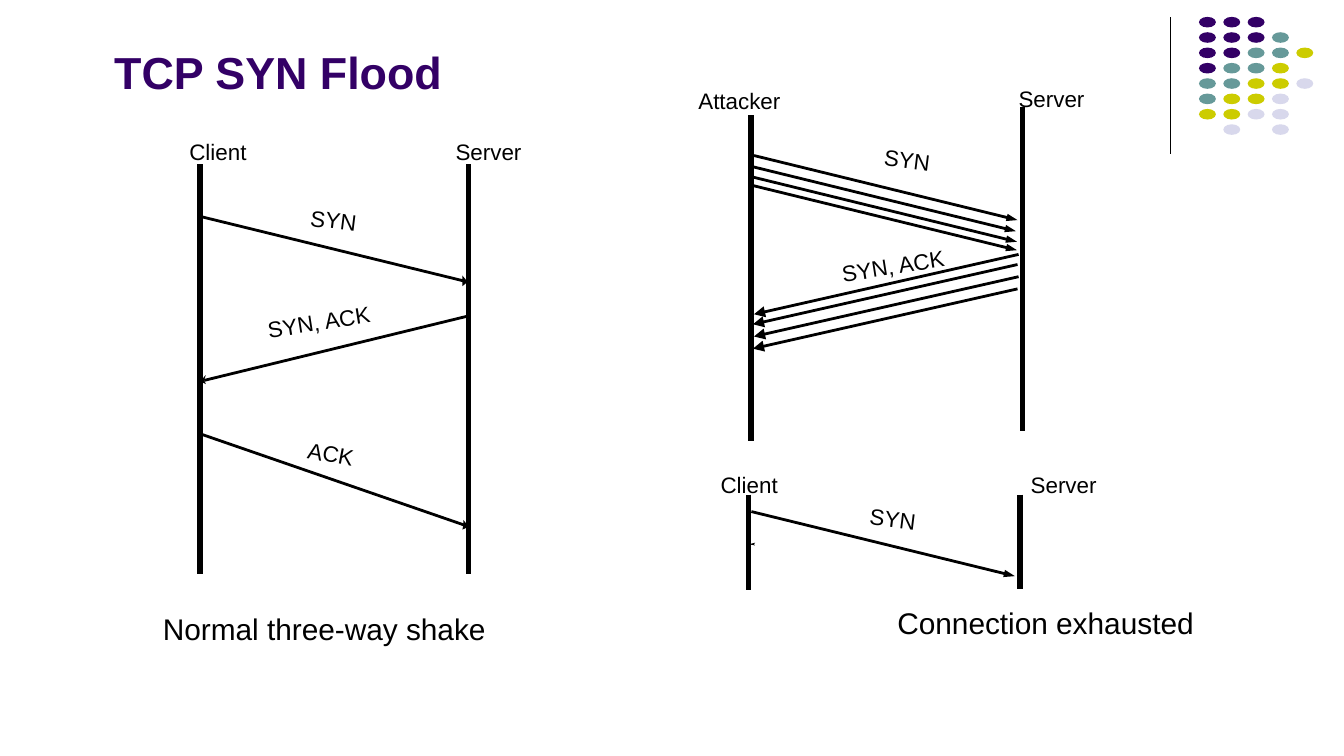
"""Build the TCP SYN flood slide with its three sequence diagrams."""
from lxml import etree
from pptx import Presentation
from pptx.dml.color import RGBColor
from pptx.enum.shapes import MSO_CONNECTOR, MSO_SHAPE
from pptx.enum.text import MSO_ANCHOR, MSO_AUTO_SIZE
from pptx.oxml.ns import qn
from pptx.util import Cm, Pt

STRAIGHT = MSO_CONNECTOR.STRAIGHT
OVAL = MSO_SHAPE.OVAL
TOP, MIDDLE = MSO_ANCHOR.TOP, MSO_ANCHOR.MIDDLE
GROW, FIXED = MSO_AUTO_SIZE.SHAPE_TO_FIT_TEXT, MSO_AUTO_SIZE.NONE
rgb = RGBColor.from_string
BLACK, PURPLE = "000000", "330066"
DOT_COLORS = {"P": PURPLE, "T": "669999", "Y": "CCCC00", "L": "D8D8EC"}
TITLE = {"size": Pt(24), "bold": True, "name": "Arial"}
LABEL = {"size": Pt(12), "name": "Arial"}
CAPTION = {"size": Pt(16), "name": "Arial"}

prs = Presentation()
prs.slide_width, prs.slide_height = Cm(25.4), Cm(14.29)
s = prs.slides.add_slide(prs.slide_layouts[6])


def add_line(x1, y1, x2, y2, width, head=None):
    cx = s.shapes.add_connector(STRAIGHT, Cm(x1), Cm(y1), Cm(x2), Cm(y2))
    cx.line.width = Pt(width)
    cx.line.color.rgb = rgb(BLACK)
    if head:
        ln = cx.line._get_or_add_ln()
        etree.SubElement(ln, qn("a:tailEnd"), type="triangle", w=head, len="med")
    etree.SubElement(cx._element.spPr, qn("a:effectLst"))


def add_text(text, x, y, w, h, fmt, color=BLACK, inset=(0, 0), rot=0,
             anchor=TOP, wrap=False, size=GROW):
    sp = s.shapes.add_textbox(Cm(x), Cm(y), Cm(w), Cm(h))
    sp.rotation = rot
    tf = sp.text_frame
    dx, dy = Cm(inset[0]), Cm(inset[1])
    frame = {"margin_left": dx, "margin_right": dx, "margin_top": dy,
             "margin_bottom": dy, "word_wrap": wrap, "auto_size": size,
             "vertical_anchor": anchor}
    for key, value in frame.items():
        setattr(tf, key, value)
    p = tf.paragraphs[0]
    r = p.add_run()
    r.text = text
    for key, value in fmt.items():
        setattr(r.font, key, value)
    r.font.color.rgb = rgb(color)
    return p


add_line(22.12, 0.33, 22.12, 2.92, 0.75)

solids = []
dot_rows = ["PPP", "PPPT", "PPTTY", "PTTY", "TTYYL", "TYYL", "YYLL", " L L"]
for row, codes in enumerate(dot_rows):
    for col, code in enumerate(codes):
        if code in DOT_COLORS:
            x, y = 22.66 + 0.46 * col, 0.32 + 0.29 * row
            sp = s.shapes.add_shape(OVAL, Cm(x), Cm(y), Cm(0.32), Cm(0.2))
            solids.append((sp, DOT_COLORS[code]))

add_text("TCP SYN Flood", 1.98, 0.33, 18.75, 2.03, TITLE, PURPLE,
         inset=(0.18, 0.1), anchor=MIDDLE, wrap=True, size=FIXED)

lifelines = [
    (3.78, 3.1, 10.85), (8.86, 3.1, 10.85),
    (14.19, 2.18, 8.33), (19.32, 2.03, 8.15),
    (14.15, 9.35, 11.15), (19.28, 9.35, 11.13),
]
for x, top, bottom in lifelines:
    add_line(x, top, x, bottom, 2.86)

handshake = [
    (3.78, 4.09, 8.76, 5.31),
    (8.86, 5.97, 3.86, 7.19),
    (3.78, 8.2, 8.79, 9.93),
]
for ends in handshake:
    add_line(*ends, 1.5)

arrowheads = [
    [(8.74, 5.41), (8.74, 5.31), (8.74, 5.21), (8.84, 5.33)],
    [(3.89, 7.09), (3.86, 7.19), (3.89, 7.26), (3.78, 7.21)],
    [(8.74, 10.01), (8.76, 9.91), (8.76, 9.83), (8.86, 9.96)],
    [(14.27, 10.26), (14.25, 10.29), (14.27, 10.31), (14.15, 10.29)],
]
for points in arrowheads:
    (x, y), *rest = [(Cm(px), Cm(py)) for px, py in points]
    fb = s.shapes.build_freeform(x, y)
    fb.add_line_segments(rest, close=True)
    solids.append((fb.convert_to_shape(), BLACK))

for sp, color in solids:
    sp.shadow.inherit = False
    sp.fill.solid()
    sp.fill.fore_color.rgb = rgb(color)
    sp.line.fill.background()

syn_starts = [(14.25, 2.94), (14.22, 3.15), (14.24, 3.35), (14.24, 3.51), (14.2, 9.67)]
for x, y in syn_starts:
    add_line(x, y, x + 4.98, y + 1.22, 1.5, "sm")

reply_starts = [(19.25, 4.81), (19.23, 5.0), (19.25, 5.23), (19.23, 5.46)]
for x, y in reply_starts:
    add_line(x, y, x - 5, y + 1.13, 1.5, "med")

labels = [
    ("Client", 3.58, 2.62, 1.2, 0), ("Server", 8.61, 2.62, 1.35, 0),
    ("SYN", 5.87, 3.91, 0.95, 7), ("SYN, ACK", 5.05, 5.82, 2, 351),
    ("ACK", 5.82, 8.33, 0.95, 11),
    ("Attacker", 13.2, 1.65, 1.65, 0), ("Server", 19.25, 1.61, 1.35, 0),
    ("SYN", 16.71, 2.77, 0.95, 7), ("SYN, ACK", 15.9, 4.76, 2, 351),
    ("Client", 13.62, 8.91, 1.2, 0), ("Server", 19.48, 8.91, 1.35, 0),
    ("SYN", 16.44, 9.55, 0.95, 7),
]
for text, x, y, w, rot in labels:
    add_text(text, x, y, w, 0.51, LABEL, rot=rot)

captions = [
    ("Normal three-way shake", 2.83, 11.49, 6.75),
    ("Connection exhausted", 16.71, 11.38, 6.25),
]
for text, x, y, w in captions:
    p = add_text(text, x, y, w, 0.86, CAPTION, inset=(0.25, 0.13))
    p.line_spacing = 0.9

prs.save("out.pptx")
